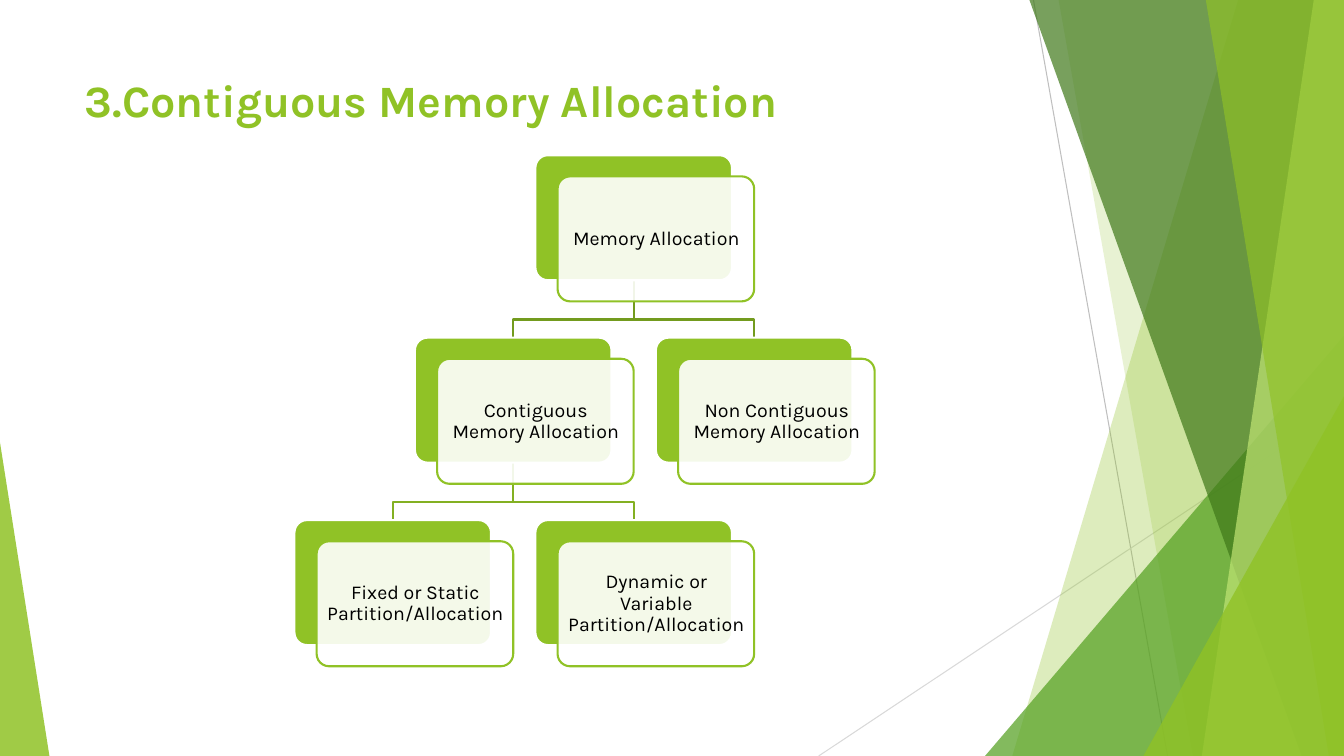
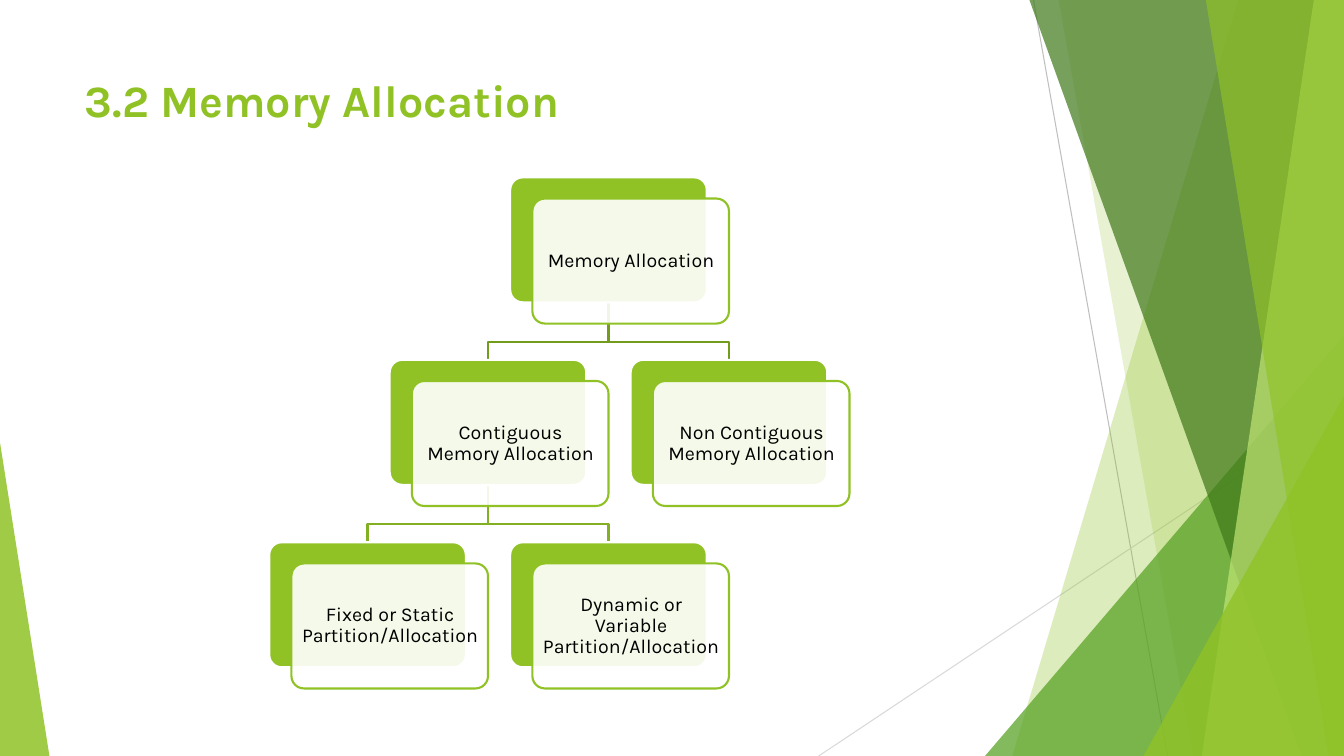
"""Build two slides that chart the kinds of memory allocation as a tree of cards."""
from lxml import etree
from pptx import Presentation
from pptx.dml.color import RGBColor
from pptx.enum import shapes, text
from pptx.oxml.ns import qn
from pptx.util import Inches, Pt

LIME = RGBColor(0x90, 0xC2, 0x26)
PALE_LIME = RGBColor(0xC0, 0xE4, 0x74)
GREEN = RGBColor(0x54, 0xA0, 0x21)
DARK_GREEN = RGBColor(0x3F, 0x78, 0x19)
UPPER_BRANCH = RGBColor(0x73, 0x9B, 0x1E)
LOWER_BRANCH = RGBColor(0x83, 0xB0, 0x22)
GREY = RGBColor(0xBF, 0xBF, 0xBF)
LIGHT_GREY = RGBColor(0xD9, 0xD9, 0xD9)
WHITE = RGBColor(0xFF, 0xFF, 0xFF)
BLACK = RGBColor(0, 0, 0)
FONT = "Karla"

SLIDE_W, SLIDE_H = 13.33, 7.5
CARD_W, CARD_H, CARD_RADIUS = 1.95, 1.24, 0.1
FRONT_DX, FRONT_DY = 0.22, 0.21
COLUMN_PITCH, ROW_PITCH = 2.39, 1.81
BEND_DROP = 0.39

SLIDES = [
    {"title": "3.Contiguous Memory Allocation", "root": (5.31, 1.54)},
    {"title": "3.2 Memory Allocation", "root": (5.06, 1.76)},
]

# name: (label, column relative to the root, row, parent)
TREE = {
    "root": ("Memory Allocation", 0, 0, None),
    "contiguous": ("Contiguous Memory Allocation", -0.5, 1, "root"),
    "fixed": ("Fixed or Static Partition/Allocation", -1, 2, "contiguous"),
    "dynamic": ("Dynamic or Variable Partition/Allocation", 0, 2, "contiguous"),
    "separate": ("Non Contiguous Memory Allocation", 0.5, 1, "root"),
}
BRANCH_COLOURS = {1: UPPER_BRANCH, 2: LOWER_BRANCH}

RAYS = [
    ((10.25, 0), (11.58, SLIDE_H), GREY),
    ((SLIDE_W, 4.03), (8.12, SLIDE_H), LIGHT_GREY),
]

# band: x of the left edge at top and bottom; wedge: left, top, width, apex
FACETS = [
    ("band", (12.28, 10.04), LIME, 30),
    ("band", (10.5, 11.83), LIME, 20),
    ("wedge", (9.77, 3.33, 3.56, 1), GREEN, 72),
    ("band", (10.21, 12.91), DARK_GREEN, 70),
    ("band", (13.03, 11.92), PALE_LIME, 70),
    ("band", (11.96, 13.18), LIME, 65),
    ("wedge", (11.34, 3.93, 1.99, 1), LIME, 80),
    ("wedge", (0, 4.39, 0.49, 0), LIME, 85),
]


def paint(shape, fill=None, opacity=100, line=None):
    shape.shadow.inherit = False
    if fill is None:
        shape.fill.background()
    else:
        shape.fill.solid()
        shape.fill.fore_color.rgb = fill
        if opacity < 100:
            colour = shape._element.spPr.find(qn("a:solidFill"))[0]
            etree.SubElement(colour, qn("a:alpha"), val=str(opacity * 1000))
    if line is None:
        shape.line.fill.background()
    else:
        shape.line.color.rgb = line
        shape.line.width = Pt(1.5)


def add_outline(slide, points, close):
    corners = [(Inches(x), Inches(y)) for x, y in points]
    builder = slide.shapes.build_freeform(*corners[0])
    builder.add_line_segments(corners[1:], close=close)
    return builder.convert_to_shape()


def add_band(slide, top_x, bottom_x):
    return add_outline(slide, [(top_x, 0), (SLIDE_W, 0),
                               (SLIDE_W, SLIDE_H), (bottom_x, SLIDE_H)], True)


def add_preset(slide, preset, left, top, width, height, adjustment):
    shape = slide.shapes.add_shape(
        preset, Inches(left), Inches(top), Inches(width), Inches(height))
    shape.adjustments[0] = adjustment
    return shape


def add_wedge(slide, left, top, width, apex):
    return add_preset(slide, shapes.MSO_SHAPE.ISOSCELES_TRIANGLE,
                      left, top, width, SLIDE_H - top, apex)


def add_backdrop(slide):
    for start, end, colour in RAYS:
        ray = slide.shapes.add_connector(
            shapes.MSO_CONNECTOR.STRAIGHT, *map(Inches, start + end))
        ray.line.color.rgb = colour
        ray.line.width = Pt(0.75)
        etree.SubElement(ray._element.spPr, qn("a:effectLst"))
    makers = {"band": add_band, "wedge": add_wedge}
    for kind, geometry, colour, opacity in FACETS:
        paint(makers[kind](slide, *geometry), colour, opacity)


def add_words(paragraph, words, size, colour, bold=False):
    run = paragraph.add_run()
    run.text = words
    run.font.name = FONT
    run.font.size = Pt(size)
    run.font.bold = bold
    run.font.color.rgb = colour


def add_title(slide, words):
    title = slide.shapes.add_textbox(
        Inches(0.74), Inches(0.67), Inches(9.4), Inches(0.87)).text_frame
    title.word_wrap = True
    add_words(title.paragraphs[0], words, 32, LIME, bold=True)


def add_card(slide, label, left, top):
    rounded = shapes.MSO_SHAPE.ROUNDED_RECTANGLE
    back = add_preset(slide, rounded, left, top, CARD_W, CARD_H, CARD_RADIUS)
    paint(back, LIME, line=WHITE)
    front = add_preset(slide, rounded, left + FRONT_DX, top + FRONT_DY,
                       CARD_W, CARD_H, CARD_RADIUS)
    paint(front, WHITE, 90, LIME)
    frame = front.text_frame
    frame.word_wrap = True
    frame.vertical_anchor = text.MSO_ANCHOR.MIDDLE
    frame.margin_left, frame.margin_right = Inches(0.06), Inches(0.05)
    frame.margin_top = frame.margin_bottom = Inches(0.06)
    paragraph = frame.paragraphs[0]
    paragraph.alignment = text.PP_ALIGN.CENTER
    paragraph.line_spacing = 0.9
    add_words(paragraph, label, 14, BLACK)


def add_branch(slide, parent, child, colour):
    start_x, end_x = parent[0] + CARD_W / 2, child[0] + CARD_W / 2
    start_y = parent[1] + CARD_H
    bend_y = start_y + BEND_DROP
    branch = add_outline(slide, [(start_x, start_y), (start_x, bend_y),
                                 (end_x, bend_y), (end_x, child[1])], False)
    paint(branch, line=colour)


def add_tree(slide, root_left, root_top):
    places = {name: (root_left + column * COLUMN_PITCH, root_top + row * ROW_PITCH)
              for name, (_, column, row, _) in TREE.items()}
    for name, (_, _, row, parent) in TREE.items():
        if parent:
            add_branch(slide, places[parent], places[name], BRANCH_COLOURS[row])
    for name, (label, *_) in TREE.items():
        add_card(slide, label, *places[name])


def main():
    deck = Presentation()
    deck.slide_width, deck.slide_height = Inches(SLIDE_W), Inches(SLIDE_H)
    blank = deck.slide_layouts[6]
    for content in SLIDES:
        slide = deck.slides.add_slide(blank)
        add_backdrop(slide)
        add_title(slide, content["title"])
        add_tree(slide, *content["root"])
    deck.save("out.pptx")


if __name__ == "__main__":
    main()
